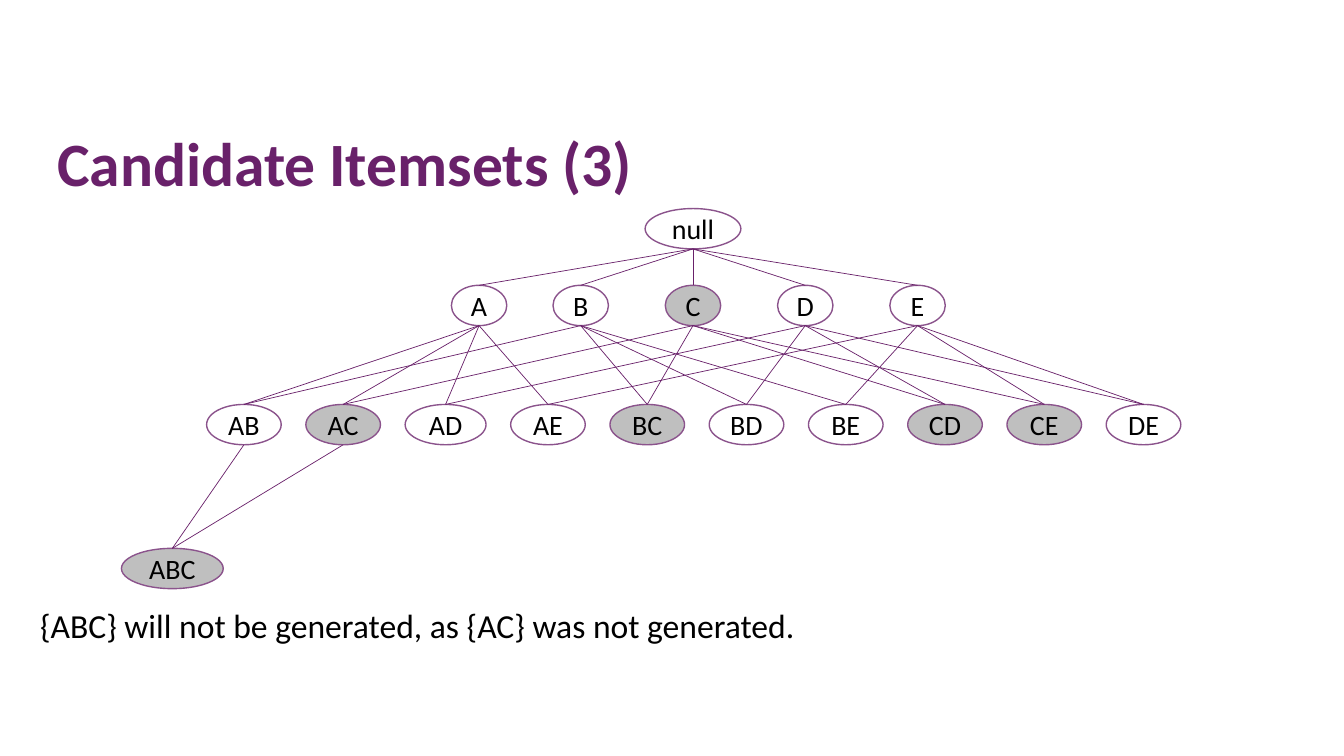
from dataclasses import dataclass
from itertools import combinations, pairwise

import pptx
import pptx.dml.color
import pptx.enum.shapes
import pptx.enum.text
import pptx.oxml.ns
import pptx.util
from lxml import etree

Pt = pptx.util.Pt
RGBColor = pptx.dml.color.RGBColor
PP_ALIGN = pptx.enum.text.PP_ALIGN
MSO_ANCHOR = pptx.enum.text.MSO_ANCHOR

PURPLE = RGBColor(0x69, 0x21, 0x6A)
OUTLINE = RGBColor(0x8B, 0x53, 0x8C)
GREY = RGBColor(0xBF, 0xBF, 0xBF)
BLACK = RGBColor(0, 0, 0)

NODE_H = 28.8
PRUNED = {"C", "AC", "BC", "CD", "CE", "ABC"}
NO_INSETS = dict(margin_left=0, margin_right=0, margin_top=0, margin_bottom=0)


@dataclass
class Node:
    items: str
    center: float
    top: float
    width: float

    def is_parent_of(self, child: "Node") -> bool:
        # A triple is joined from the two pairs that share its first item
        shares_prefix = len(child.items) < 3 or self.items[0] == child.items[0]
        return set(self.items) < set(child.items) and shares_prefix


def set_text(sp, text: str, frame: dict, para: dict, font: dict, color: RGBColor) -> None:
    tf = sp.text_frame
    p = tf.paragraphs[0]
    r = p.add_run()
    r.text = text
    for target, values in ((tf, frame), (p, para), (r.font, {"name": "Calibri", **font})):
        for name, value in values.items():
            setattr(target, name, value)
    r.font.color.rgb = color


def add_node(s, node: Node) -> None:
    sp = s.shapes.add_shape(
        pptx.enum.shapes.MSO_SHAPE.OVAL,
        Pt(node.center - node.width / 2), Pt(node.top), Pt(node.width), Pt(NODE_H))
    sp.shadow.inherit = False
    if node.items in PRUNED:
        sp.fill.solid()
        sp.fill.fore_color.rgb = GREY
    else:
        sp.fill.background()
    sp.line.color.rgb = OUTLINE
    sp.line.width = Pt(1)
    set_text(sp, node.items or "null",
             dict(word_wrap=False, vertical_anchor=MSO_ANCHOR.MIDDLE, **NO_INSETS),
             dict(alignment=PP_ALIGN.CENTER), dict(size=Pt(20)), BLACK)


def add_edge(s, parent: Node, child: Node) -> None:
    line = s.shapes.add_connector(
        pptx.enum.shapes.MSO_CONNECTOR.STRAIGHT,
        Pt(parent.center), Pt(parent.top + NODE_H), Pt(child.center), Pt(child.top))
    line.line.color.rgb = PURPLE
    line.line.width = Pt(0.5)
    etree.SubElement(line._element.spPr, pptx.oxml.ns.qn("a:effectLst"))


def pair_level() -> list[Node]:
    """Lay the pairs out with equal gaps; AD is slightly wider."""
    nodes, left = [], 147.6
    for pair in map("".join, combinations("ABCDE", 2)):
        width = 57.8 if pair == "AD" else 53.3
        nodes.append(Node(pair, left + width / 2, 288.9, width))
        left += width + 17.6
    return nodes


def main() -> None:
    prs = pptx.Presentation()
    prs.slide_width, prs.slide_height = Pt(960), Pt(540)
    s = prs.slides.add_slide(prs.slide_layouts[6])

    # Title
    sp = s.shapes.add_textbox(Pt(33.8), Pt(89.3), Pt(828), Pt(59.8))
    set_text(sp, "Candidate Itemsets (3)",
             dict(word_wrap=True, vertical_anchor=MSO_ANCHOR.MIDDLE),
             dict(line_spacing=0.9), dict(size=Pt(44), bold=True), PURPLE)

    # Itemset lattice
    singles = [Node("A", 342.2, 203.8, 39.6)]
    singles += [Node(item, 414.8 + 80.2 * i, 203.8, 39.6) for i, item in enumerate("BCDE")]
    levels = [[Node("", 495, 149, 68.4)], singles, pair_level(),
              [Node("ABC", 123.1, 391.7, 72.7)]]
    for level in levels:
        for node in level:
            add_node(s, node)
    for parents, children in pairwise(levels):
        for parent in parents:
            for child in children:
                if parent.is_parent_of(child):
                    add_edge(s, parent, child)

    # Conclusion
    sp = s.shapes.add_textbox(Pt(21.6), Pt(428.4), Pt(851), Pt(36))
    set_text(sp, "{ABC} will not be generated, as {AC} was not generated.",
             dict(word_wrap=True), {}, dict(size=Pt(24)), BLACK)

    prs.save("out.pptx")


if __name__ == "__main__":
    main()
